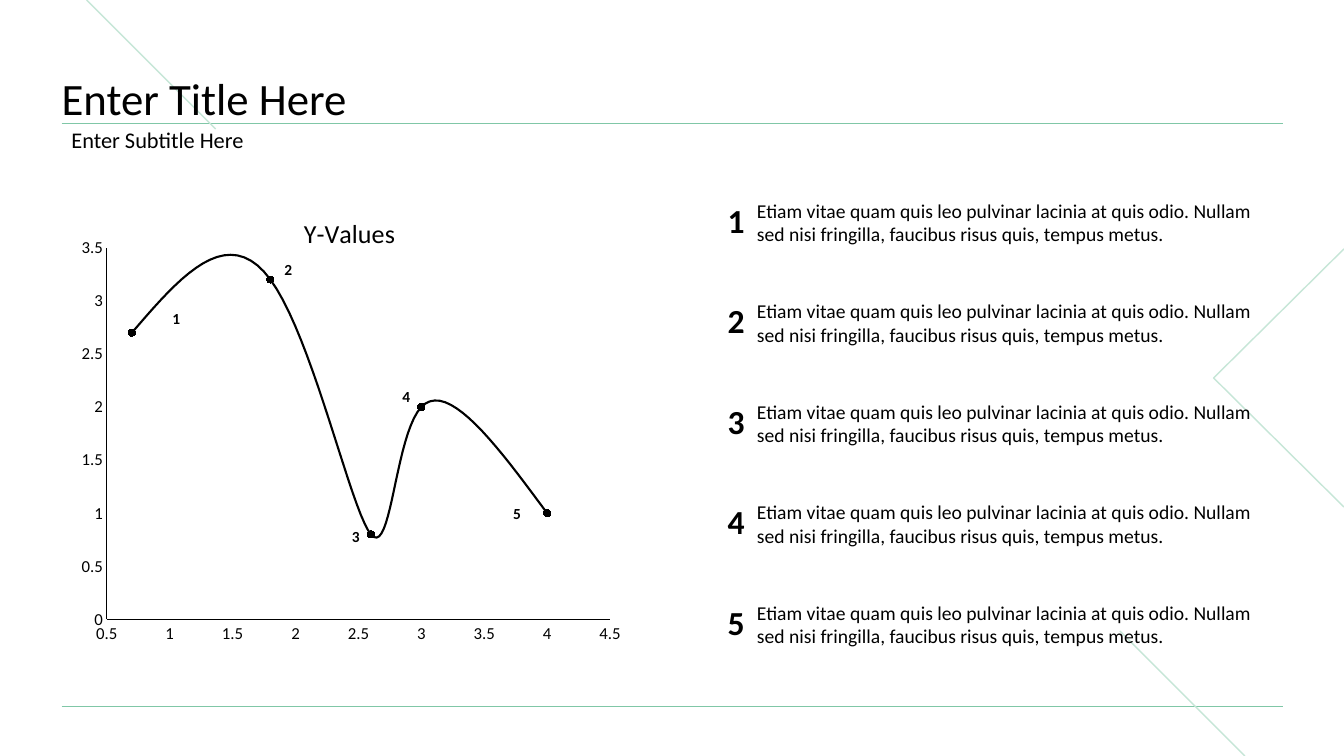
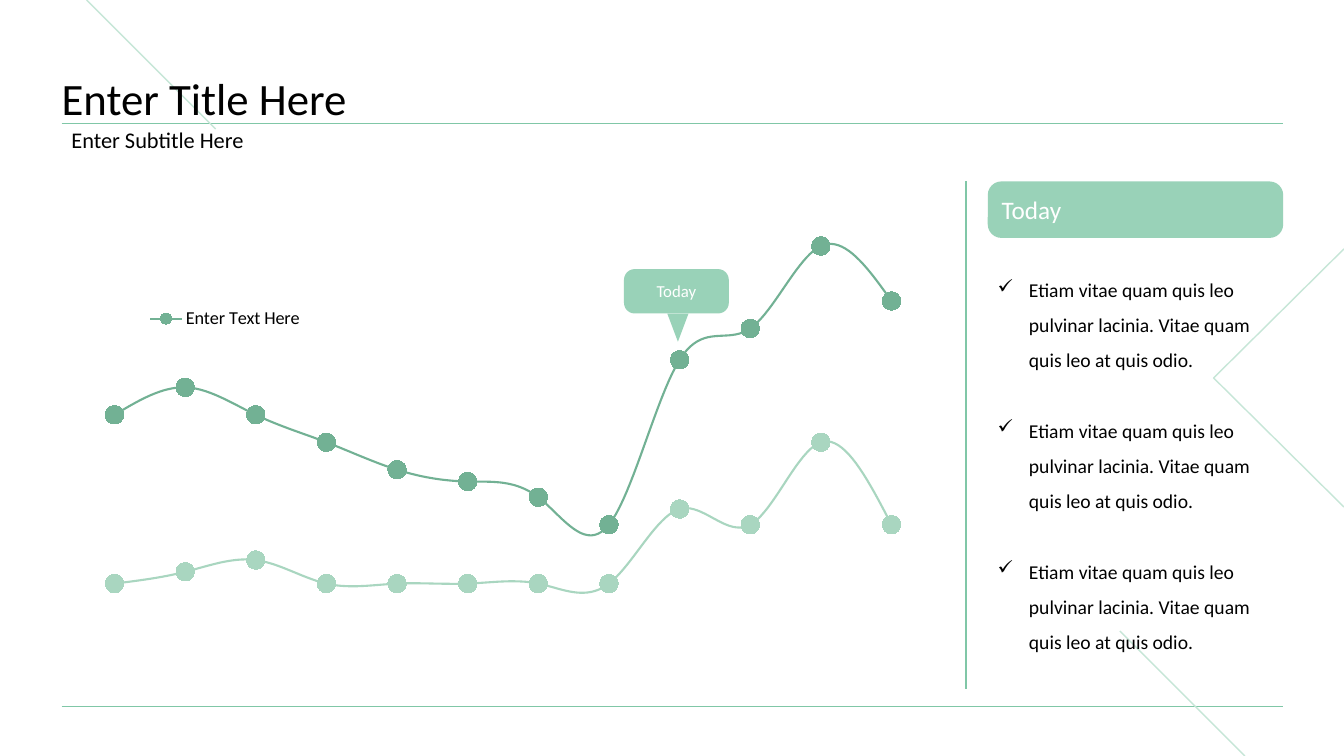
from dataclasses import dataclass
from lxml import etree
from pptx import Presentation
from pptx.chart.data import CategoryChartData, XyChartData
from pptx.dml.color import RGBColor
from pptx.enum.chart import XL_CHART_TYPE, XL_LEGEND_POSITION, XL_MARKER_STYLE, XL_TICK_MARK
from pptx.enum.shapes import MSO_CONNECTOR, MSO_SHAPE
from pptx.enum.text import MSO_ANCHOR, MSO_AUTO_SIZE, PP_ALIGN
from pptx.oxml.ns import qn
from pptx.util import Inches, Pt

SCATTER, LINE_MARKERS = XL_CHART_TYPE.XY_SCATTER_SMOOTH, XL_CHART_TYPE.LINE_MARKERS
LEGEND_BOTTOM = XL_LEGEND_POSITION.BOTTOM
CIRCLE, NO_TICK = XL_MARKER_STYLE.CIRCLE, XL_TICK_MARK.NONE
STRAIGHT = MSO_CONNECTOR.STRAIGHT
ROUNDED, TRIANGLE = MSO_SHAPE.ROUNDED_RECTANGLE, MSO_SHAPE.ISOSCELES_TRIANGLE
TOP, MIDDLE, BOTTOM = MSO_ANCHOR.TOP, MSO_ANCHOR.MIDDLE, MSO_ANCHOR.BOTTOM
GROW = MSO_AUTO_SIZE.SHAPE_TO_FIT_TEXT
LEFT, CENTER = PP_ALIGN.LEFT, PP_ALIGN.CENTER

WIDTH, HEIGHT = Inches(13.333), Inches(7.5)
FONT = "Calibri"
COLORS = {
    "text": "000000", "white": "FFFFFF", "accent": "80C7A7",
    "pale": "C6E6D7", "dark_series": "72B194", "light_series": "A9D6C0",
}
MARGIN, CONTENT = 4.58, 90.9
RIGHT = MARGIN + CONTENT
PANEL_TOP, PANEL_BOTTOM = 24, 91.2
SIDE_LEFT = 73.5
SIDE_WIDTH = RIGHT - SIDE_LEFT
ROW_PITCH = 13.3
ITEM = ("Etiam vitae quam quis leo pulvinar lacinia at quis odio. "
        "Nullam sed nisi fringilla, faucibus risus quis, tempus metus.")
CHECK_ITEM = "Etiam vitae quam quis leo pulvinar lacinia. Vitae quam quis leo at quis odio."


@dataclass(frozen=True)
class Area:
    """Place on the slide, in percent of its width and height."""
    left: float
    top: float
    width: float
    height: float

    def lengths(self) -> tuple:
        """Return left, top, width and height as slide lengths."""
        return across(self.left), down(self.top), across(self.width), down(self.height)


@dataclass(frozen=True)
class Rule:
    """Straight line between two points given in percent."""
    start: tuple
    end: tuple
    color: str = "accent"
    weight: float = 0.5


@dataclass(frozen=True)
class TextStyle:
    """Look of the text in one box."""
    size: float
    color: str = "text"
    bold: bool = False
    align: PP_ALIGN = LEFT
    anchor: MSO_ANCHOR = TOP
    spacing: float = 1.0
    grow: bool = False


@dataclass(frozen=True)
class SeriesLook:
    """Colour and marker size of one chart series."""
    color: str
    marker: int


TITLE = TextStyle(32, anchor=BOTTOM, spacing=0.9)
SUBTITLE = TextStyle(16, anchor=MIDDLE, spacing=0.9)
BODY = TextStyle(14)
CHECKS = TextStyle(14, spacing=1.5)
NUMBER = TextStyle(24, bold=True, anchor=MIDDLE, spacing=1.5, grow=True)
POINT_LABEL = TextStyle(11, bold=True, align=CENTER, anchor=MIDDLE, spacing=1.5, grow=True)
CALLOUT = TextStyle(12, "white", align=CENTER, anchor=MIDDLE)
HEADER = TextStyle(18, "white", anchor=MIDDLE)

FRAME_RULES = (
    Rule((MARGIN, 93.47), (RIGHT, 93.47)),
    Rule((MARGIN, 16.37), (RIGHT, 16.37)),
    Rule((83.33, 83.47), (92.63, 100), "pale", 1),
    Rule((6.45, 0), (16.05, 17.07), "pale", 1),
)
CHEVRON = ((100, 32.93), (90.3, 50), (100, 67.07))
POINT_LABELS = {
    "1": (11.85, 39.2), "2": (20.18, 32.67), "3": (25.2, 68),
    "4": (28.95, 49.47), "5": (37.2, 64.93),
}
SCATTER_POINTS = ((0.7, 2.7), (1.8, 3.2), (2.6, 0.8), (3, 2), (4, 1))
LINE_SERIES = {
    "Enter Text Here": (57, 64, 57, 50, 43, 40, 36, 29, 71, 79, 100, 86),
    "Enter Text Here2": (14, 17, 20, 14, 14, 14, 14, 14, 33, 29, 50, 29),
}


def across(share: float) -> int:
    """Turn a percentage of the slide width into a length."""
    return round(WIDTH * share / 100)


def down(share: float) -> int:
    """Turn a percentage of the slide height into a length."""
    return round(HEIGHT * share / 100)


def rgb(name: str) -> RGBColor:
    """Look up a named colour."""
    return RGBColor.from_string(COLORS[name])


def style_font(font, size: float, color: str = "text", bold: bool = False) -> None:
    """Set face, size, colour and weight."""
    font.name, font.size, font.bold = FONT, Pt(size), bold
    font.color.rgb = rgb(color)


def write(shape, texts: tuple, style: TextStyle) -> None:
    """Fill a shape with one paragraph per text."""
    frame = shape.text_frame
    frame.word_wrap = True
    frame.vertical_anchor = style.anchor
    if style.grow:
        frame.auto_size = GROW
    for index, text in enumerate(texts):
        para = frame.add_paragraph() if index else frame.paragraphs[0]
        para.alignment, para.line_spacing = style.align, style.spacing
        span = para.add_run()
        span.text = text
        style_font(span.font, style.size, style.color, style.bold)


def add_text(page, area: Area, style: TextStyle, *texts: str):
    """Add a text box."""
    box = page.shapes.add_textbox(*area.lengths())
    write(box, texts, style)
    return box


def add_rule(page, rule: Rule) -> None:
    """Draw a straight line without shadow."""
    (left, top), (right, bottom) = rule.start, rule.end
    line = page.shapes.add_connector(STRAIGHT, across(left), down(top), across(right), down(bottom))
    line.line.color.rgb, line.line.width = rgb(rule.color), Pt(rule.weight)
    etree.SubElement(line._element.spPr, qn("a:effectLst"))


def add_tile(page, kind: MSO_SHAPE, area: Area):
    """Add a translucent accent shape."""
    tile = page.shapes.add_shape(kind, *area.lengths())
    tile.shadow.inherit = False
    tile.line.fill.background()
    tile.fill.solid()
    tile.fill.fore_color.rgb = rgb("accent")
    color = tile._element.spPr.find(f".//{qn('a:srgbClr')}")
    etree.SubElement(color, qn("a:alpha"), val="80000")
    if kind == ROUNDED:
        tile.adjustments[0] = 0.24
    return tile


def add_page(deck):
    """Add a slide with the shared frame, title and subtitle."""
    page = deck.slides.add_slide(deck.slide_layouts[6])
    for rule in FRAME_RULES:
        add_rule(page, rule)
    points = [(across(x), down(y)) for x, y in CHEVRON]
    builder = page.shapes.build_freeform(*points[0])
    builder.add_line_segments(points[1:], close=False)
    chevron = builder.convert_to_shape()
    chevron.shadow.inherit = False
    chevron.fill.background()
    chevron.line.color.rgb, chevron.line.width = rgb("pale"), Pt(1)
    title = add_text(page, Area(MARGIN, 5.87, CONTENT, 10.67), TITLE, "Enter Title Here")
    frame = title.text_frame
    frame.margin_left = frame.margin_right = frame.margin_top = frame.margin_bottom = 0
    add_text(page, Area(MARGIN, 16.4, CONTENT, 4.53), SUBTITLE, "Enter Subtitle Here")
    return page


def chart_layout(x: float, y: float, width: float = 0, height: float = 0, inner: bool = False):
    """Build a manual layout from shares of the chart."""
    layout = etree.Element(qn("c:layout"))
    manual = etree.SubElement(layout, qn("c:manualLayout"))
    values = {"xMode": "edge", "yMode": "edge", "x": x, "y": y}
    if inner:
        values = {"layoutTarget": "inner", **values}
    if width:
        values.update(w=width, h=height)
    for tag, value in values.items():
        etree.SubElement(manual, qn(f"c:{tag}"), val=str(value))
    return layout


def add_chart(page, kind: XL_CHART_TYPE, area: Area, data, looks: tuple, plot_layout):
    """Add a chart of smooth lines with round markers."""
    chart = page.shapes.add_chart(kind, *area.lengths(), data).chart
    style_font(chart.font, 10)
    plot = chart.plots[0]
    plot.vary_by_categories = False
    for series, look in zip(plot.series, looks):
        series.format.line.color.rgb, series.format.line.width = rgb(look.color), Pt(1.5)
        marker = series.marker
        marker.style, marker.size = CIRCLE, look.marker
        marker.format.fill.solid()
        marker.format.fill.fore_color.rgb = rgb(look.color)
        marker.format.line.color.rgb = rgb(look.color)
        series._element.find(qn("c:smooth")).set("val", "1")
    plot_area = chart._chartSpace.chart.plotArea
    for layout in plot_area.findall(qn("c:layout")):
        plot_area.remove(layout)
    plot_area.insert(0, plot_layout)
    return chart


def build_scatter_page(deck) -> None:
    """Build the numbered curve with its five notes."""
    page = add_page(deck)
    data = XyChartData()
    series = data.add_series("Y-Values")
    for x, y in SCATTER_POINTS:
        series.add_data_point(x, y)
    chart = add_chart(page, SCATTER, Area(MARGIN, 24.67, 42.08, 62.27), data,
                      (SeriesLook("text", 5),), chart_layout(0.08, 0.13, 0.89, 0.79, True))
    chart.has_legend = False
    chart.has_title = True
    span = chart.chart_title.text_frame.paragraphs[0].add_run()
    span.text = "Y-Values"
    style_font(span.font, 18.6)
    title = chart.chart_title._element
    for layout in title.findall(qn("c:layout")):
        title.remove(layout)
    title.find(qn("c:tx")).addnext(chart_layout(0.42, 0.05))
    for axis, low, high in ((chart.category_axis, 0.5, 4.5), (chart.value_axis, 0, 3.5)):
        axis.minimum_scale, axis.maximum_scale, axis.major_unit = low, high, 0.5
        axis.has_major_gridlines = False
        axis.major_tick_mark = axis.minor_tick_mark = NO_TICK
        style_font(axis.tick_labels.font, 12)
        axis.format.line.color.rgb, axis.format.line.width = rgb("text"), Pt(0.75)
    for index, (label, (left, top)) in enumerate(POINT_LABELS.items()):
        shift = index * ROW_PITCH
        add_text(page, Area(left, top, 2.55, 4.67), POINT_LABEL, label)
        add_text(page, Area(55.58, 25.6 + shift, 39.83, 9.47), BODY, ITEM)
        add_text(page, Area(53.4, 23.47 + shift, 2.33, 8.53), NUMBER, label)


def build_line_page(deck) -> None:
    """Build the two lines with a callout and a checklist."""
    page = add_page(deck)
    data = CategoryChartData()
    data.categories = [str(number) for number in range(1, 13)]
    for name, values in LINE_SERIES.items():
        data.add_series(name, values)
    looks = (SeriesLook("dark_series", 13), SeriesLook("light_series", 13))
    chart = add_chart(page, LINE_MARKERS, Area(MARGIN, PANEL_TOP, 65.7, PANEL_BOTTOM - PANEL_TOP),
                      data, looks, chart_layout(0.02, 0.05, 0.96, 0.85, True))
    chart.has_title = False
    chart.value_axis.minimum_scale, chart.value_axis.maximum_scale = 0, 110
    chart.value_axis.has_major_gridlines = False
    chart.category_axis.visible = chart.value_axis.visible = False
    chart.has_legend = True
    legend = chart.legend
    legend.position, legend.include_in_layout = LEGEND_BOTTOM, False
    style_font(legend.font, 13)
    for layout in legend._element.findall(qn("c:layout")):
        legend._element.remove(layout)
    entry = etree.Element(qn("c:legendEntry"))
    etree.SubElement(entry, qn("c:idx"), val="1")
    etree.SubElement(entry, qn("c:delete"), val="1")
    legend._element.find(qn("c:legendPos")).addnext(entry)
    entry.addnext(chart_layout(0.08, 0.24, 0.21, 0.06))

    write(add_tile(page, ROUNDED, Area(46.43, 35.6, 7.8, 5.87)), ("Today",), CALLOUT)
    add_tile(page, TRIANGLE, Area(49.65, 41.47, 1.58, 3.73)).rotation = 180
    add_rule(page, Rule((71.85, PANEL_TOP), (71.85, PANEL_BOTTOM), weight=1.5))
    write(add_tile(page, ROUNDED, Area(SIDE_LEFT, PANEL_TOP, SIDE_WIDTH, 7.47)), ("Today",), HEADER)
    checklist = add_text(page, Area(SIDE_LEFT, 34.53, SIDE_WIDTH, 56.67), CHECKS, *[CHECK_ITEM] * 3)
    for index, para in enumerate(checklist.text_frame.paragraphs):
        para.space_before = Pt(25 if index else 0)
        properties = para._p.get_or_add_pPr()
        properties.set("marL", str(Inches(0.31)))
        properties.set("indent", str(-Inches(0.31)))
        etree.SubElement(properties, qn("a:buChar"), char="✓")


def main() -> None:
    """Build and save the deck."""
    deck = Presentation()
    deck.slide_width, deck.slide_height = WIDTH, HEIGHT
    build_scatter_page(deck)
    build_line_page(deck)
    deck.save("out.pptx")


if __name__ == "__main__":
    main()
